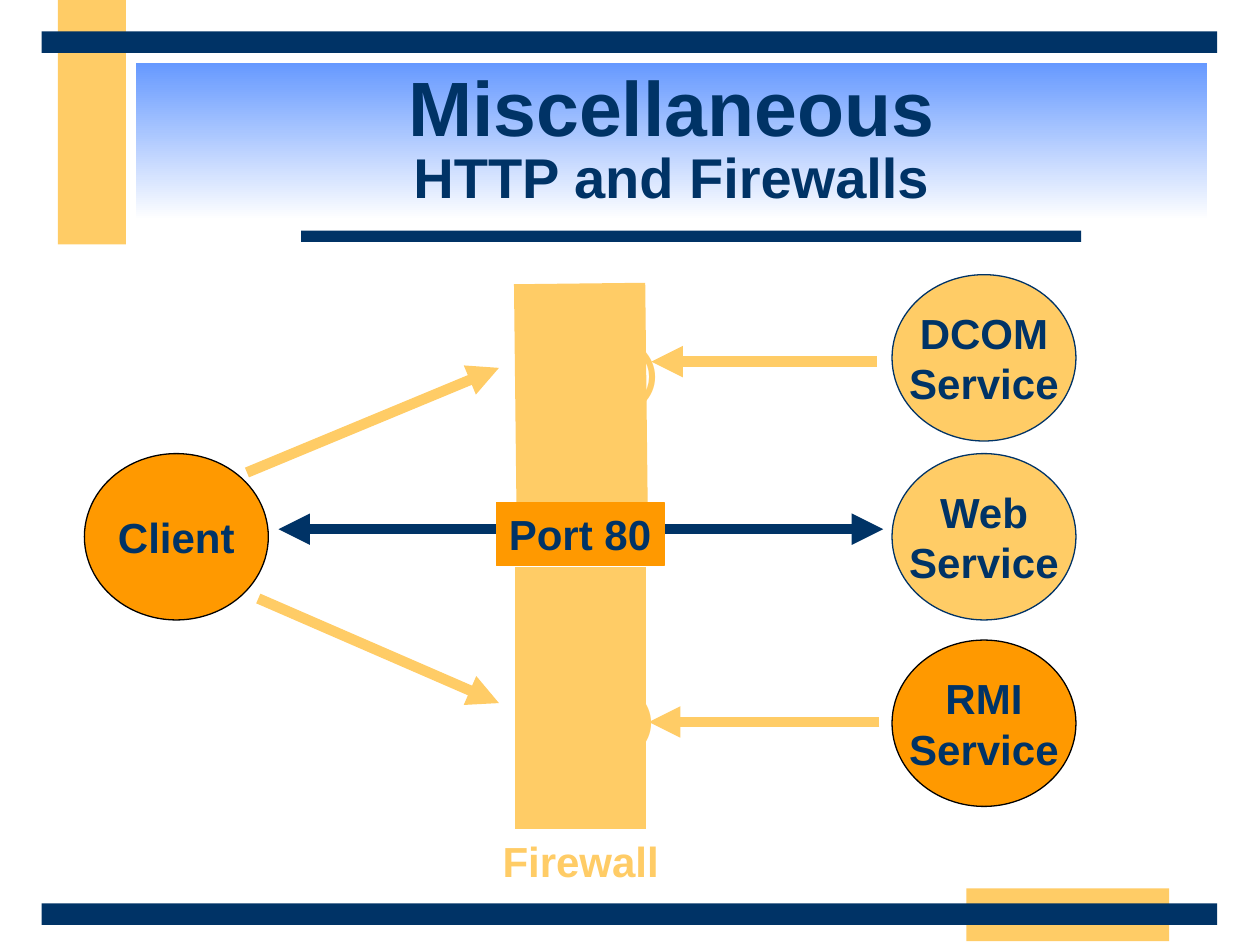
from lxml import etree
from pptx import Presentation
from pptx.dml.color import RGBColor
from pptx.enum.shapes import MSO_CONNECTOR, MSO_SHAPE
from pptx.enum.text import MSO_ANCHOR, MSO_AUTO_SIZE, PP_ALIGN
from pptx.oxml.ns import qn
from pptx.util import Inches, Pt

RECTANGLE, ELLIPSE = MSO_SHAPE.RECTANGLE, MSO_SHAPE.OVAL
STRAIGHT = MSO_CONNECTOR.STRAIGHT
LEFT, CENTER = PP_ALIGN.LEFT, PP_ALIGN.CENTER
TOP, MIDDLE = MSO_ANCHOR.TOP, MSO_ANCHOR.MIDDLE
FIT_SHAPE = MSO_AUTO_SIZE.SHAPE_TO_FIT_TEXT

NAVY = RGBColor(0x00, 0x33, 0x66)
SAND = RGBColor(0xFF, 0xCC, 0x66)
ORANGE = RGBColor(0xFF, 0x99, 0x00)
SKY = RGBColor(0x66, 0x99, 0xFF)
WHITE = RGBColor(0xFF, 0xFF, 0xFF)
BLACK = RGBColor(0x00, 0x00, 0x00)

FONT = "Arial"
COLUMNS, ROWS = 100, 75  # square grid over the whole slide
CELL = Inches(10) // COLUMNS


def cells(*counts):
    return [round(count * CELL) for count in counts]


def style_paragraph(para, size, color, align):
    para.alignment = align
    para.font.name = FONT
    para.font.size = Pt(size)
    para.font.bold = True
    para.font.color.rgb = color


def write(shape, lines, size=24, color=NAVY, align=CENTER, anchor=MIDDLE):
    frame = shape.text_frame
    frame.word_wrap = False
    frame.vertical_anchor = anchor
    frame.text = "\n".join(lines)
    for para in frame.paragraphs:
        style_paragraph(para, size, color, align)


def add_block(page, area, fill, outline=None, kind=RECTANGLE):
    block = page.shapes.add_shape(kind, *cells(*area))
    block.shadow.inherit = False
    block.fill.solid()
    block.fill.fore_color.rgb = fill
    if outline is None:
        block.line.fill.background()
    else:
        block.line.color.rgb = outline
        block.line.width = Pt(0.75)
    return block


def add_node(page, left, top, lines, fill, outline):
    node = add_block(page, (left, top, 14.6, 13.2), fill, outline, ELLIPSE)
    write(node, lines)


def add_label(page, area, text, size):
    label = page.shapes.add_textbox(*cells(*area))
    write(label, [text], size, SAND, LEFT, TOP)
    label.text_frame.auto_size = FIT_SHAPE


def add_line(page, start, end, color, width=6, arrows=()):
    line = page.shapes.add_connector(STRAIGHT, *cells(*start, *end))
    line.line.color.rgb = color
    line.line.width = Pt(width)
    outline = line.line._get_or_add_ln()
    for arrow in arrows:
        etree.SubElement(outline, qn(f"a:{arrow}"), type="triangle")
    etree.SubElement(line._element.spPr, qn("a:effectLst"))


def add_title(page):
    title = add_block(page, (10.8, 5, 85, 12.5), WHITE)
    title.fill.gradient()
    title.fill.gradient_angle = 270
    for stop, position, color in zip(title.fill.gradient_stops, (0, 1), (SKY, WHITE)):
        stop.position = position
        stop.color.rgb = color
    frame = title.text_frame
    frame.word_wrap = True
    frame.vertical_anchor = MIDDLE
    para = frame.paragraphs[0]
    style_paragraph(para, 44, NAVY, CENTER)
    para.line_spacing = 0.85
    para.add_run().text = "Miscellaneous"
    para.add_line_break()
    subtitle = para.add_run()
    subtitle.text = "HTTP and Firewalls"
    subtitle.font.size = Pt(32)


def add_frame(page):
    for area in ((4.6, 0, 5.4, 19.4), (76.7, 70.5, 16.1, 4.2)):
        add_block(page, area, SAND)
    add_block(page, (23.9, 18.3, 61.9, 0.9), NAVY)
    for top in (71.7, 2.5):
        add_block(page, (3.3, top, 93.3, 1.7), NAVY)


def main():
    deck = Presentation()
    deck.slide_width, deck.slide_height = cells(COLUMNS, ROWS)
    page = deck.slides.add_slide(deck.slide_layouts[6])
    add_frame(page)

    # Firewall, in two parts around the open port
    add_line(page, (46, 22.5), (46.2, 40.2), SAND, 75)
    add_line(page, (46.1, 45), (46.1, 65.8), SAND, 75)

    # Client and services
    services = (
        ("DCOM", 21.8, SAND, NAVY),
        ("Web", 36, SAND, NAVY),
        ("RMI", 50.8, ORANGE, BLACK),
    )
    for name, top, fill, outline in services:
        add_node(page, 70.8, top, [name, "Service"], fill, outline)
    add_node(page, 6.7, 36, ["Client"], ORANGE, BLACK)

    # Blocked traffic
    blocked = (
        ((19.6, 37.5), (39.6, 29.2)),
        ((20.5, 47.5), (39.6, 55.8)),
        ((69.8, 57.3), (51.5, 57.3)),
        ((69.6, 28.7), (51.7, 28.7)),
    )
    for start, end in blocked:
        add_line(page, start, end, SAND, arrows=["tailEnd"])
    for left, top in ((43.9, 23.9), (43.6, 51.4)):
        add_label(page, (left, top, 5, 11), "⊗", 60)
    add_label(page, (38.9, 65.8, 14.4, 5), "Firewall", 24)

    # Traffic through the open port
    add_line(page, (22.1, 42), (70.1, 42), NAVY, arrows=["headEnd", "tailEnd"])
    port = add_block(page, (39.4, 39.9, 13.3, 5), ORANGE, ORANGE)
    write(port, ["Port 80"], align=LEFT, anchor=TOP)
    port.text_frame.auto_size = FIT_SHAPE

    add_title(page)
    deck.save("out.pptx")


if __name__ == "__main__":
    main()
